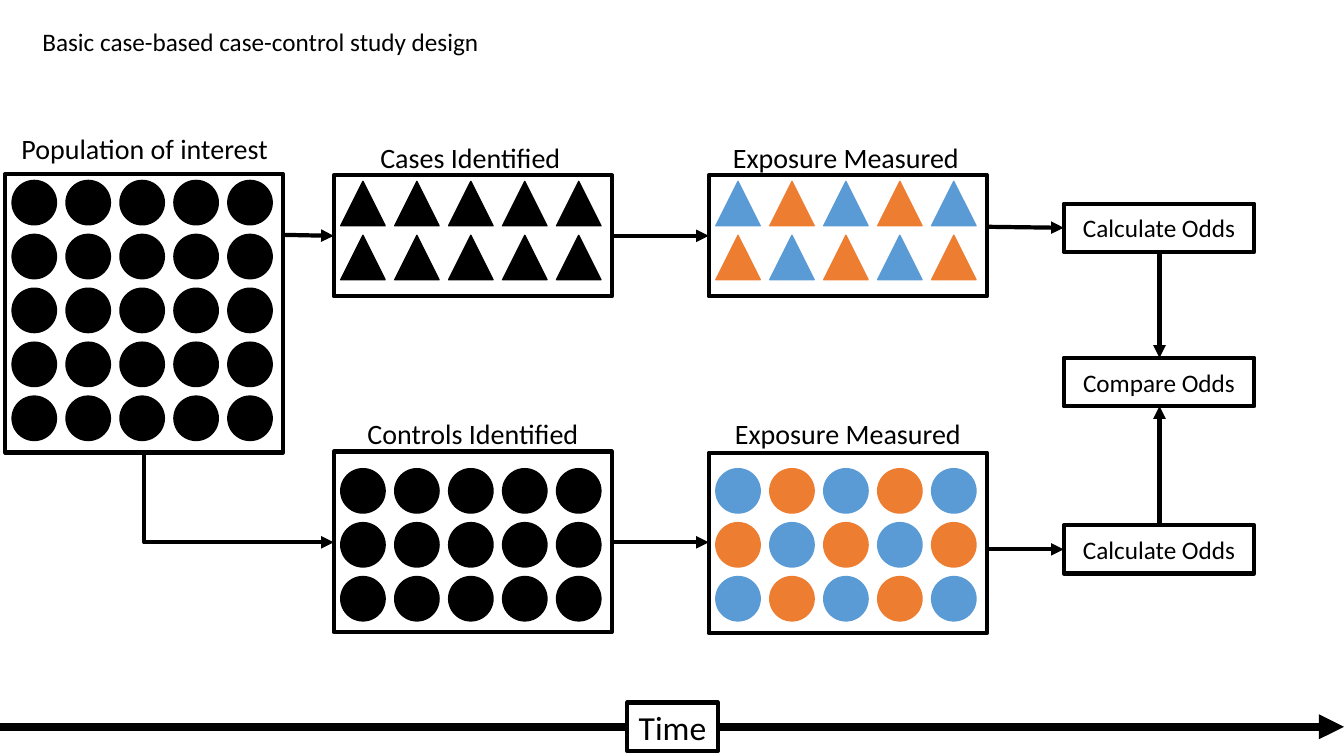
from lxml import etree
from pptx import Presentation
from pptx import util as u
from pptx.dml.color import RGBColor
from pptx.enum import shapes, text
from pptx.oxml.ns import qn

COLORS = {"black": "000000", "white": "FFFFFF", "blue": "5B9BD5", "orange": "ED7D31"}
FONT = "Calibri"
MARKER_SIZE = 0.44
MARKER_PITCH = 2.14 / 4
MARKER_INSET = 0.07
COLUMNS = 5
TRIANGLE = shapes.MSO_SHAPE.ISOSCELES_TRIANGLE
CIRCLE = shapes.MSO_SHAPE.OVAL
MONO = ("black",)
EXPOSURE = ("blue", "orange")

# frame box, caption, caption box (left, top, width), marker, rows, top inset, colours
PANELS = [
    ((0.05, 1.73, 2.76, 2.76), "Population of interest", (0.1, 1.26, 2.67),
     CIRCLE, 5, 0.06, MONO),
    ((3.31, 1.74, 2.76, 1.2), "Cases Identified", (3.66, 1.34, 2.01),
     TRIANGLE, 2, 0.06, MONO),
    ((7.03, 1.74, 2.76, 1.2), "Exposure Measured", (7.16, 1.34, 2.46),
     TRIANGLE, 2, 0.06, EXPOSURE),
    ((3.31, 4.48, 2.76, 1.79), "Controls Identified", (3.53, 4.08, 2.32),
     CIRCLE, 3, 0.17, MONO),
    ((7.03, 4.49, 2.76, 1.79), "Exposure Measured", (7.18, 4.08, 2.46),
     CIRCLE, 3, 0.16, EXPOSURE),
]

# text, top of each result box
RESULTS = [("Calculate Odds", 2.02), ("Compare Odds", 3.55), ("Calculate Odds", 5.21)]
RESULT_LEFT, RESULT_WIDTH, RESULT_HEIGHT = 10.55, 1.89, 0.48

FLOW_ARROWS = [
    ((2.81, 2.33), (3.31, 2.34)),
    ((6.07, 2.34), (7.03, 2.34)),
    ((6.07, 5.38), (7.03, 5.38)),
    ((9.8, 2.25), (10.55, 2.26)),
    ((9.8, 5.45), (10.55, 5.45)),
    ((11.5, 2.5), (11.5, 3.55)),
    ((11.5, 5.21), (11.5, 4.03)),
]


def rgb(name):
    return RGBColor.from_string(COLORS[name])


def write_text(shape, content, size, align=text.PP_ALIGN.CENTER):
    frame = shape.text_frame
    frame.text = content
    paragraph = frame.paragraphs[0]
    paragraph.alignment = align
    for run in paragraph.runs:
        run.font.size = u.Pt(size)
        run.font.name = FONT
        run.font.color.rgb = rgb("black")


def add_shape(container, kind, box, line, line_width, fill=None):
    shape = container.add_shape(kind, *map(u.Inches, box))
    shape.shadow.inherit = False
    if fill:
        shape.fill.solid()
        shape.fill.fore_color.rgb = rgb(fill)
    else:
        shape.fill.background()
    shape.line.color.rgb = rgb(line)
    shape.line.width = u.Pt(line_width)
    return shape


def add_label_box(slide, box, content, size, fill=None):
    shape = add_shape(slide.shapes, shapes.MSO_SHAPE.RECTANGLE, box, "black", 3, fill)
    shape.text_frame.vertical_anchor = text.MSO_ANCHOR.MIDDLE
    shape.text_frame.word_wrap = False
    write_text(shape, content, size)


def add_arrow(slide, start, end, width=3):
    points = map(u.Inches, (*start, *end))
    arrow = slide.shapes.add_connector(shapes.MSO_CONNECTOR.STRAIGHT, *points)
    arrow.line.color.rgb = rgb("black")
    arrow.line.width = u.Pt(width)
    properties = arrow.element.spPr
    etree.SubElement(properties.find(qn("a:ln")), qn("a:tailEnd"), type="triangle")
    etree.SubElement(properties, qn("a:effectLst"))
    return arrow


def add_corner_arrow(slide, start, end):
    """Goes down from start, then right to end."""
    across, down = end[0] - start[0], end[1] - start[1]
    middle_x, middle_y = start[0] + across / 2, start[1] + down / 2
    # The one-bend connector is laid out unturned, then flipped and rotated
    arrow = add_arrow(slide, (middle_x - down / 2, middle_y - across / 2),
                      (middle_x + down / 2, middle_y + across / 2))
    properties = arrow.element.spPr
    properties.find(qn("a:prstGeom")).set("prst", "bentConnector2")
    transform = properties.find(qn("a:xfrm"))
    transform.set("rot", str(270 * 60000))
    transform.set("flipH", "1")


def add_title(slide, box):
    title = slide.shapes.title
    title.left, title.top, title.width, title.height = map(u.Inches, box)
    title.text_frame.word_wrap = False
    title.text_frame.auto_size = text.MSO_AUTO_SIZE.NONE
    title.text_frame.vertical_anchor = text.MSO_ANCHOR.TOP
    write_text(title, "Basic case-based case-control study design", 18,
               text.PP_ALIGN.LEFT)


def add_timeline(slide, box):
    left, top, width, height = box
    middle = top + height / 2
    add_arrow(slide, (left, middle), (left + width, middle), 6)
    add_label_box(slide, (left + 6.22, top, 0.9, height), "Time", 24, "white")


def add_panel(slide, box, caption, caption_box, marker, rows, top_inset, palette):
    left, top = box[:2]
    group = slide.shapes.add_group_shape().shapes
    add_shape(group, shapes.MSO_SHAPE.RECTANGLE, box, "black", 3)
    # Marker grid, colours alternating like a chessboard
    for row in range(rows):
        for column in range(COLUMNS):
            color = palette[(row + column) % len(palette)]
            marker_box = (left + MARKER_INSET + column * MARKER_PITCH,
                          top + top_inset + row * MARKER_PITCH,
                          MARKER_SIZE, MARKER_SIZE)
            add_shape(group, marker, marker_box, color, 1, color)
    label = group.add_textbox(*map(u.Inches, (*caption_box, 0.44)))
    label.text_frame.word_wrap = False
    write_text(label, caption, 20)


def add_results(slide, left, width, height):
    for content, top in RESULTS:
        add_label_box(slide, (left, top, width, height), content, 18)


def main():
    presentation = Presentation()
    presentation.slide_width = u.Inches(13.33)
    presentation.slide_height = u.Inches(7.5)
    slide = presentation.slides.add_slide(presentation.slide_layouts[5])

    # Title and time axis
    add_title(slide, (0.32, 0.21, 4.58, 0.4))
    add_timeline(slide, (0, 6.97, 13.33, 0.48))

    # Study groups and results
    for panel in PANELS:
        add_panel(slide, *panel)
    add_results(slide, RESULT_LEFT, RESULT_WIDTH, RESULT_HEIGHT)

    # Flow between the steps
    for start, end in FLOW_ARROWS:
        add_arrow(slide, start, end)
    add_corner_arrow(slide, (1.43, 4.49), (3.31, 5.38))

    presentation.save("out.pptx")


if __name__ == "__main__":
    main()
